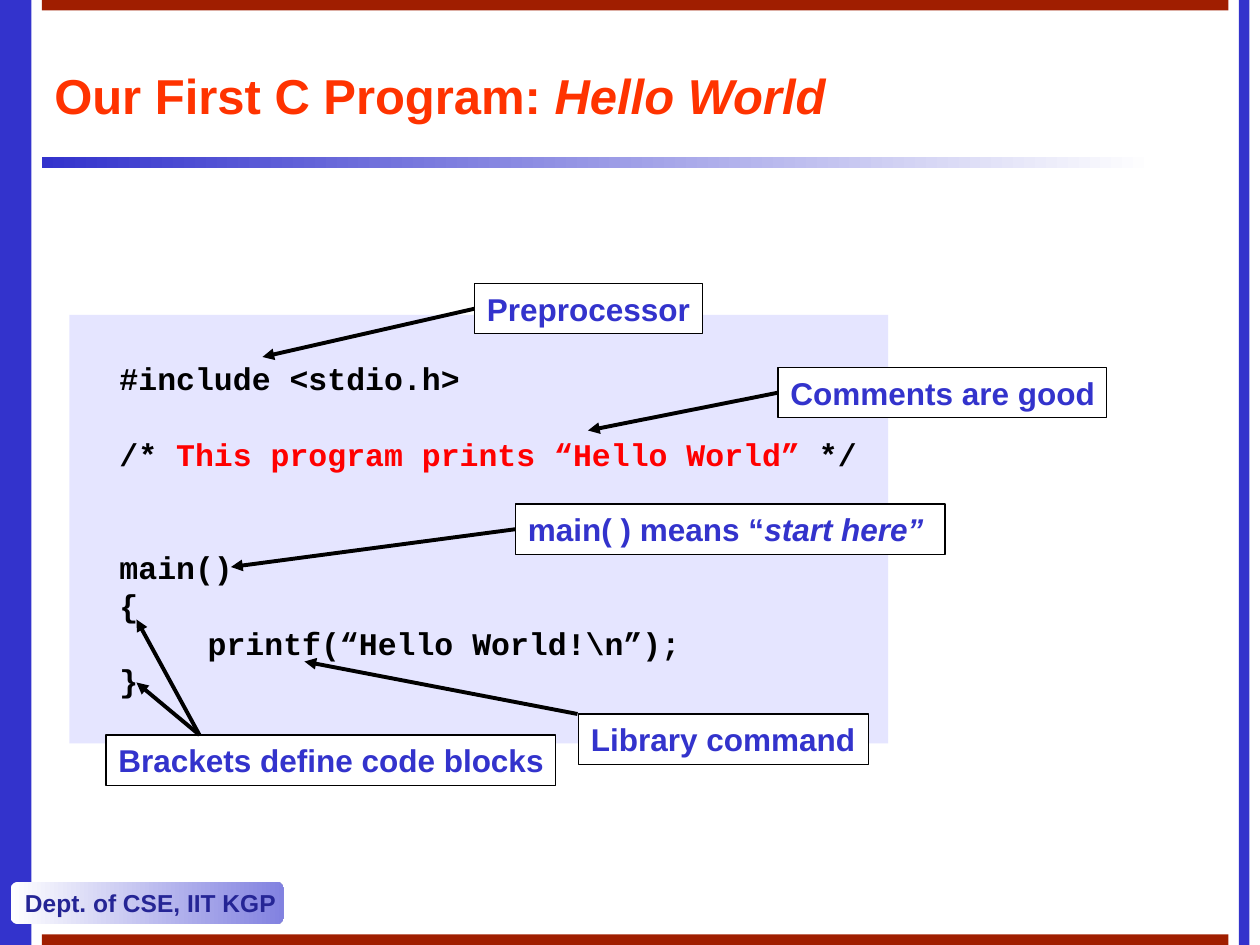
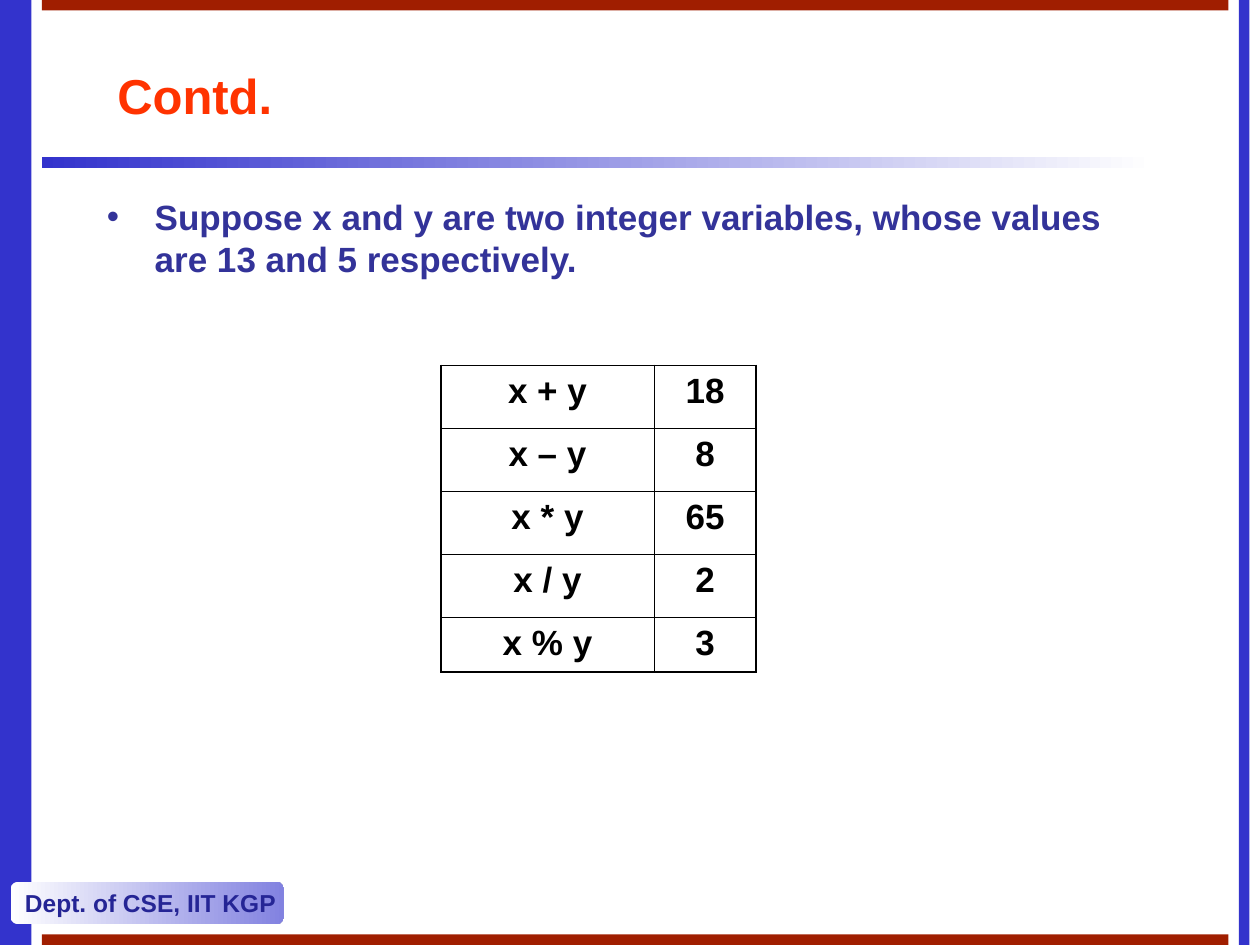
"""Build two slides on a first C program and integer arithmetic."""
from pptx import Presentation
from pptx.dml.color import RGBColor as Rgb
from pptx.enum.shapes import MSO_CONNECTOR as Wire, MSO_SHAPE as Form
from pptx.enum.text import MSO_ANCHOR as Anchor, PP_ALIGN as Align
from pptx.oxml.ns import qn
from pptx.util import Inches, Pt
from lxml.etree import SubElement as Sub


class Theme:
    blue, pale, white, black = "3333CC", "E5E5FF", "FFFFFF", "000000"
    rust, title, body, red = "A01E00", "FF3300", "333399", "FF0000"
    chip, foot = "8282E0", "252595"
    sans, mono = "Arial", "Courier New"
    head, text, code, small = 28, 20, 18, 14
    thin, thick, edge, rule = 0.75, 2.25, 1.08, 0.45


deck = Presentation()
deck.slide_width, deck.slide_height = Inches(10), Inches(7.5)
unit = deck.slide_width / 120


def box(slide, area, fill=None, line=None, form=Form.RECTANGLE):
    shape = slide.shapes.add_shape(form, *[round(n * unit) for n in area])
    shape.shadow.inherit = False
    if isinstance(fill, tuple):
        shape.fill.gradient()
        shape.fill.gradient_angle = 0
        for stop, tint in zip(shape.fill.gradient_stops, fill):
            stop.color.rgb = Rgb.from_string(tint)
    elif fill:
        shape.fill.solid()
        shape.fill.fore_color.rgb = Rgb.from_string(fill)
    else:
        shape.fill.background()
    if line:
        shape.line.color.rgb = Rgb.from_string(line)
        shape.line.width = Pt(Theme.thin)
    else:
        shape.line.fill.background()
    shape.text_frame.word_wrap = True
    shape.text_frame.vertical_anchor = Anchor.TOP
    return shape


def write(para, runs, size, tint, face=Theme.sans, align=Align.LEFT):
    para.alignment = align
    for words, *look in runs:
        run = para.add_run()
        run.text = words
        font = run.font
        font.name, font.size, font.bold = face, Pt(size), True
        font.italic = "italic" in look
        font.color.rgb = Rgb.from_string(Theme.red if "red" in look else tint)


heads = [
    ((4, 4, 113, 10), [("Our First C Program: ",), ("Hello World", "italic")]),
    ((10, 4, 102, 10), [("Contd.",)]),
]
bands = [
    ((0, 0, 3, 90), Theme.blue),
    ((4, 15, 106, 1), (Theme.blue, Theme.white)),
    ((118, 0, 1, 90), Theme.blue),
    ((4, 0, 113, 1), Theme.rust),
    ((4, 89, 113, 1), Theme.rust),
]
slides = []
for area, runs in heads:
    slide = deck.slides.add_slide(deck.slide_layouts[6])
    slides.append(slide)
    for place, fill in bands:
        box(slide, place, fill)
    chip = box(slide, (1, 84, 26, 4), (Theme.white, Theme.chip), form=Form.ROUNDED_RECTANGLE)
    chip.text_frame.word_wrap = False
    head = box(slide, area)
    for shape in (chip, head):
        shape.text_frame.vertical_anchor = Anchor.MIDDLE
    write(chip.text_frame.paragraphs[0], [("Dept. of CSE, IIT KGP",)], Theme.small, Theme.foot)
    write(head.text_frame.paragraphs[0], runs, Theme.head, Theme.title)

first, second = slides
code = [
    (0, [("  #include <stdio.h>",)]),
    (1, [("  /* ",), ("This program prints “Hello World”", "red"), (" */",)]),
    (2, [("  main()",)]),
    (0, [("  {",)]),
    (0, [("\tprintf(“Hello World!\\n”);",)]),
    (0, [("  }",)]),
]
pitch = 1.2 * Theme.code
frame = box(first, (6.6, 30, 78, 40.8), Theme.pale).text_frame
frame.margin_top = Inches(0.05) + Pt(pitch)
for row, (gap, runs) in enumerate(code):
    para = frame.add_paragraph() if row else frame.paragraphs[0]
    if gap:
        para.space_before = Pt(gap * pitch)
    tabs = Sub(para._p.get_or_add_pPr(), qn("a:tabLst"))
    Sub(tabs, qn("a:tab"), pos=str(Inches(1)), algn="l")
    write(para, runs, Theme.code, Theme.black, Theme.mono)

notes = [
    ((10.1, 70, 42.8), [("Brackets define code blocks",)], (19, 70), [(13, 59), (13, 65)]),
    ((55.1, 68, 27.6), [("Library command",)], (55, 68), [(29, 63)]),
    ((49.1, 48, 40.9), [("main( ) means “",), ("start here”", "italic")], None, [(22, 54)]),
    ((45.2, 27, 21.7), [("Preprocessor",)], None, [(25, 34)]),
    ((74.1, 35, 31.3), [("Comments are good",)], None, [(56, 41)]),
]
for area, runs, start, tips in notes:
    note = box(first, (*area, 4.8), Theme.white, Theme.black)
    note.text_frame.margin_right = 0
    write(note.text_frame.paragraphs[0], runs, Theme.code, Theme.blue)
    for tip in tips:
        ends = [round(n * unit) for n in (*(start or area[:2]), *tip)]
        wire = first.shapes.add_connector(Wire.STRAIGHT, *ends)
        if not start:
            wire.begin_connect(note, 1)
        wire.line.color.rgb = Rgb.from_string(Theme.black)
        wire.line.width = Pt(Theme.thick)
        props = wire._element.spPr
        Sub(props.find(qn("a:ln")), qn("a:tailEnd"), type="triangle")
        Sub(props, qn("a:effectLst"))

para = box(second, (9, 18, 102, 64)).text_frame.paragraphs[0]
props = para._p.get_or_add_pPr()
props.set("marL", str(Inches(0.38)))
props.set("indent", str(-Inches(0.38)))
Sub(Sub(props, qn("a:buClr")), qn("a:srgbClr"), val=Theme.body)
Sub(props, qn("a:buFont"), typeface=Theme.sans)
Sub(props, qn("a:buChar"), char="•")
words = "Suppose x and y are two integer variables, whose values are 13 and 5 respectively."
write(para, [(words,)], Theme.text, Theme.body)

sums = [("x + y", "18"), ("x – y", "8"), ("x * y", "65"), ("x / y", "2"), ("x % y", "3")]
last = len(sums) - 1
area = [round(n * unit) for n in (42, 34.8, 30, 29.2)]
table = second.shapes.add_table(len(sums), 2, *area).table
table.first_row = table.horz_banding = False
for col, wide in zip(table.columns, (20.3, 9.7)):
    col.width = round(wide * unit)
for row, pair in enumerate(sums):
    table.rows[row].height = round((5.2 if row == last else 6) * unit)
    for col, words in enumerate(pair):
        cell = table.cell(row, col)
        write(cell.text_frame.paragraphs[0], [(words,)], Theme.text, Theme.black, align=Align.CENTER)
        props = cell._tc.get_or_add_tcPr()
        outer = {"L": col == 0, "R": col == 1, "T": row == 0, "B": row == last}
        for side, edge in outer.items():
            width = Pt(Theme.edge if edge else Theme.rule)
            line = Sub(props, qn("a:ln" + side), w=str(width))
            Sub(Sub(line, qn("a:solidFill")), qn("a:srgbClr"), val=Theme.black)
        cell.fill.background()

deck.save("out.pptx")
